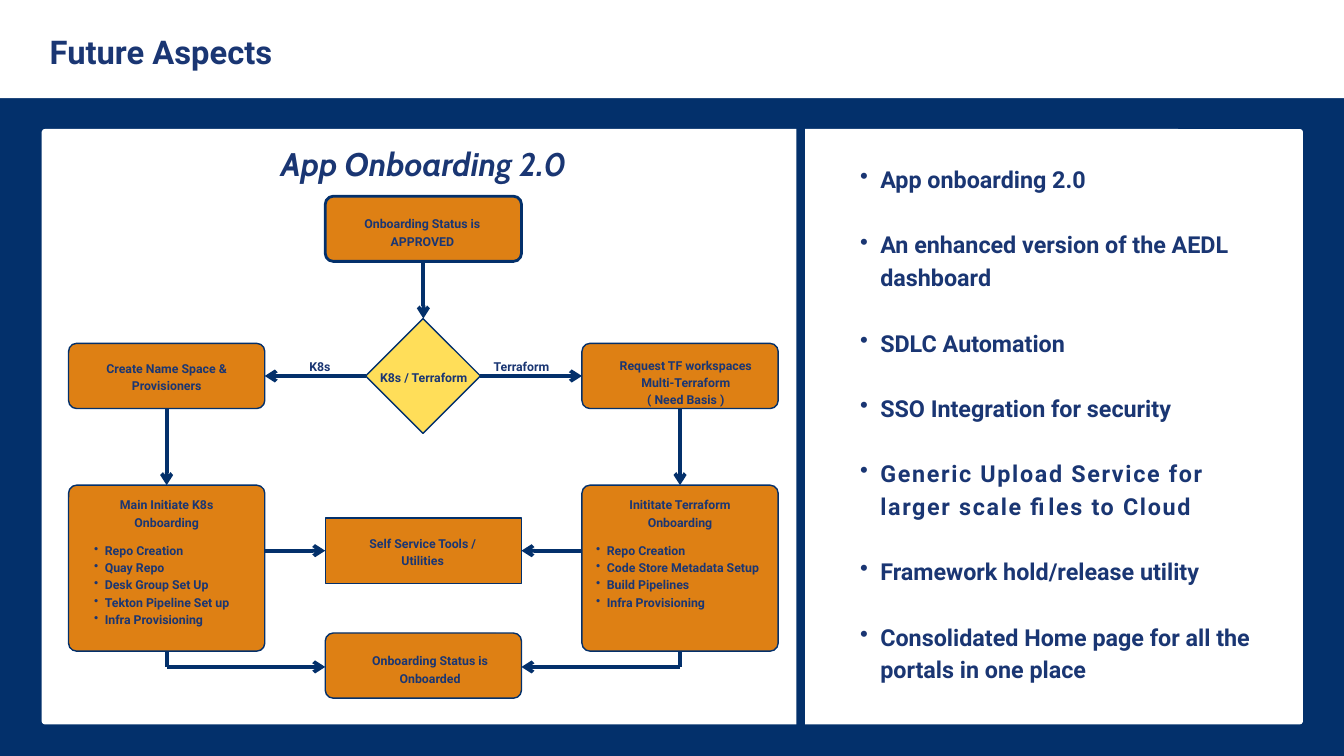
from dataclasses import dataclass

from lxml.etree import SubElement
from pptx import Presentation
from pptx.dml.color import RGBColor
from pptx.enum.shapes import MSO_CONNECTOR, MSO_SHAPE
from pptx.enum.text import MSO_ANCHOR, PP_ALIGN
from pptx.oxml.ns import qn
from pptx.util import Inches, Pt

NAVY, INK, WHITE = "03306B", "1A3673", "FFFFFF"
ORANGE, YELLOW = "DE8014", "FFDE59"
COLUMNS, ROWS = 20, 11.25
UNIT = Inches(1)  # one cell of the slide grid


@dataclass
class Box:
    """An area in grid cells."""
    left: float
    top: float
    width: float
    height: float

    def inner(self, left, top, width, height):
        return Box(self.left + left, self.top + top, width, height)

    def lengths(self):
        cells = (self.left, self.top, self.width, self.height)
        return [round(cell * UNIT) for cell in cells]


def colour(value):
    return RGBColor.from_string(value)


def add_block(page, box, fill, kind=MSO_SHAPE.RECTANGLE, line=0, radius=0):
    shape = page.shapes.add_shape(kind, *box.lengths())
    shape.shadow.inherit = False
    shape.fill.solid()
    shape.fill.fore_color.rgb = colour(fill)
    if line:
        shape.line.color.rgb = colour(NAVY)
        shape.line.width = Pt(line)
    else:
        shape.line.fill.background()
    if kind == MSO_SHAPE.ROUNDED_RECTANGLE:
        shape.adjustments[0] = radius / min(box.width, box.height)
    return shape


def write(shape, lines, size, leading, insets=(0, 0, 0), align=PP_ALIGN.CENTER,
          font="Roboto", italic=False, bullet=None, gap=0, spaced=()):
    """Fill a shape with bold lines; bullet is (indent, hang) in cells."""
    frame = shape.text_frame
    frame.word_wrap = True
    frame.vertical_anchor = MSO_ANCHOR.TOP
    frame.margin_left, frame.margin_top, frame.margin_right = map(Inches, insets)
    frame.margin_bottom = 0
    for index, line in enumerate(lines):
        para = frame.add_paragraph() if index else frame.paragraphs[0]
        if bullet:
            props = para._p.get_or_add_pPr()
            props.set("marL", str(Inches(bullet[0])))
            props.set("indent", str(-Inches(bullet[1])))
            SubElement(props, qn("a:buChar")).set("char", "•")
        para.alignment = align
        para.line_spacing = Pt(leading)
        if index and gap:
            para.space_before = Pt(gap)
        span = para.add_run()
        span.text = line
        span.font.name, span.font.size = font, Pt(size)
        span.font.bold, span.font.italic = True, italic
        span.font.color.rgb = colour(INK)
        if line in spaced:
            span._r.get_or_add_rPr().set("spc", "180")


def add_text(page, box, lines, size, leading, **style):
    write(page.shapes.add_textbox(*box.lengths()), lines, size, leading, **style)


def add_route(page, box, *points):
    """Straight lines through the points, with an arrowhead at the last."""
    spots = [(round((box.left + x) * UNIT), round((box.top + y) * UNIT))
             for x, y in points]
    for start, end in zip(spots, spots[1:]):
        link = page.shapes.add_connector(MSO_CONNECTOR.STRAIGHT, *start, *end)
        link.line.color.rgb = colour(NAVY)
        link.line.width = Pt(4)
        if end == spots[-1]:
            SubElement(link.line._get_or_add_ln(), qn("a:tailEnd")).set("type", "arrow")
        SubElement(link._element.spPr, qn("a:effectLst"))


def build_header(page, box):
    add_block(page, box, WHITE)
    add_text(page, box.inner(0.74, 0.37, 11.88, 0.65), ["Future Aspects"], 35, 49,
             align=PP_ALIGN.LEFT)


def build_flow(page, box):
    width, low, tall = 2.92, 0.97, 2.47
    left, middle, right = (0.4 + 3.82 * column for column in range(3))
    start, branch, initiate, tools, finish = 1, 3.19, 5.3, 5.79, 7.5
    left_axis, mid_axis, right_axis = (x + width / 2 for x in (left, middle, right))
    choice = box.inner(mid_axis - 0.86, 2.82, 1.71, 1.71)
    level, bend = branch + low / 2, finish + low / 2

    add_text(page, box.inner(3.21, 0.12, 4.95, 0.63), ["App Onboarding 2.0"], 35, 49,
             font="Cabin", italic=True)

    # Arrows
    add_route(page, box, (mid_axis, start + low), (mid_axis, 2.82))
    add_route(page, box, (mid_axis - 0.86, level), (left + width, level))
    add_route(page, box, (mid_axis + 0.85, level), (right, level))
    for axis, edge in ((left_axis, middle), (right_axis, middle + width)):
        add_route(page, box, (axis, branch + low), (axis, initiate))
        add_route(page, box, (axis, initiate + tall), (axis, bend + 0.02), (edge, bend + 0.02))
    add_route(page, box, (left + width, tools + low / 2), (middle, tools + low / 2))
    add_route(page, box, (right, tools + low / 2), (middle + width, tools + low / 2))

    # Steps: column, row, height, line, text left, text top, text width, lines
    steps = [
        (middle, start, low, 3, 0.36, 0.23, 2.17, ["Onboarding Status is", "APPROVED"]),
        (left, branch, low, 1.5, 0.47, 0.19, 1.98, ["Create Name Space & Provisioners"]),
        (right, branch, low, 1.5, 0.32, 0.14, 2.45,
         ["Request TF workspaces", "Multi-Terraform", "( Need Basis )"]),
        (left, initiate, tall, 1.5, 0.47, 0.11, 1.98, ["Main Initiate K8s Onboarding"]),
        (right, initiate, tall, 1.5, 0.47, 0.11, 1.98, ["Inititate Terraform Onboarding"]),
        (middle, tools, low, 1.5, 0.46, 0.23, 1.98, ["Self Service Tools / Utilities"]),
        (middle, finish, low, 1.5, 0.57, 0.23, 1.98, ["Onboarding Status is", "Onboarded"]),
    ]
    for x, y, height, line, inset, drop, span, lines in steps:
        kind = MSO_SHAPE.RECTANGLE if y == tools else MSO_SHAPE.ROUNDED_RECTANGLE
        step = add_block(page, box.inner(x, y, width, height), ORANGE, kind, line, 0.12)
        write(step, lines, 13.2, 18.6, insets=(inset, drop, width - inset - span))

    # Decision and its branch names
    add_block(page, choice, YELLOW, MSO_SHAPE.DIAMOND, 1.5)
    for x, y, span, name in ((4.6, 3.55, 2.17, "K8s / Terraform"),
                             (3.42, 3.38, 1.44, "K8s"), (6.56, 3.38, 1.16, "Terraform")):
        add_text(page, box.inner(x, y, span, 0.24), [name], 13.2, 18.6)

    # Task lists in the tall steps
    tasks = [
        (left + 0.23, ["Repo Creation", "Quay Repo", "Desk Group Set Up",
                       "Tekton Pipeline Set up", "Infra Provisioning"]),
        (right + 0.06, ["Repo Creation", "Code Store Metadata Setup",
                        "Build Pipelines", "Infra Provisioning"]),
    ]
    for x, lines in tasks:
        add_text(page, box.inner(x, 6.12, 2.85, 0.25 * len(lines)), lines, 13.2, 18.6,
                 align=PP_ALIGN.LEFT, bullet=(0.31, 0.16))


def build_aspects(page, box):
    upload = "Generic Upload Service for larger scale files to Cloud"
    aspects = [
        "App onboarding 2.0",
        "An enhanced version of the AEDL dashboard",
        "SDLC Automation",
        "SSO Integration for security",
        upload,
        "Framework hold/release utility",
        "Consolidated Home page for all the portals in one place",
    ]
    add_text(page, box.inner(0.53, 0.47, 6.36, 7.65), aspects, 25, 35,
             align=PP_ALIGN.LEFT, bullet=(0.59, 0.3), gap=35, spaced=(upload,))


def main():
    deck = Presentation()
    deck.slide_width, deck.slide_height = round(COLUMNS * UNIT), round(ROWS * UNIT)
    page = deck.slides.add_slide(deck.slide_layouts[6])
    page.background.fill.solid()
    page.background.fill.fore_color.rgb = colour(NAVY)

    # Panel, split in two by a bar
    panel = Box(0.62, 1.92, 18.77, 8.86)
    add_block(page, panel, WHITE, MSO_SHAPE.ROUNDED_RECTANGLE, radius=0.05)
    add_block(page, Box(11.85, 1.87, 0.13, 9), NAVY)

    build_header(page, Box(0, 0, COLUMNS, 1.46))
    build_flow(page, panel.inner(0, 0, 11.23, panel.height))
    build_aspects(page, panel.inner(11.36, 0, 7.41, panel.height))
    deck.save("out.pptx")


if __name__ == "__main__":
    main()
